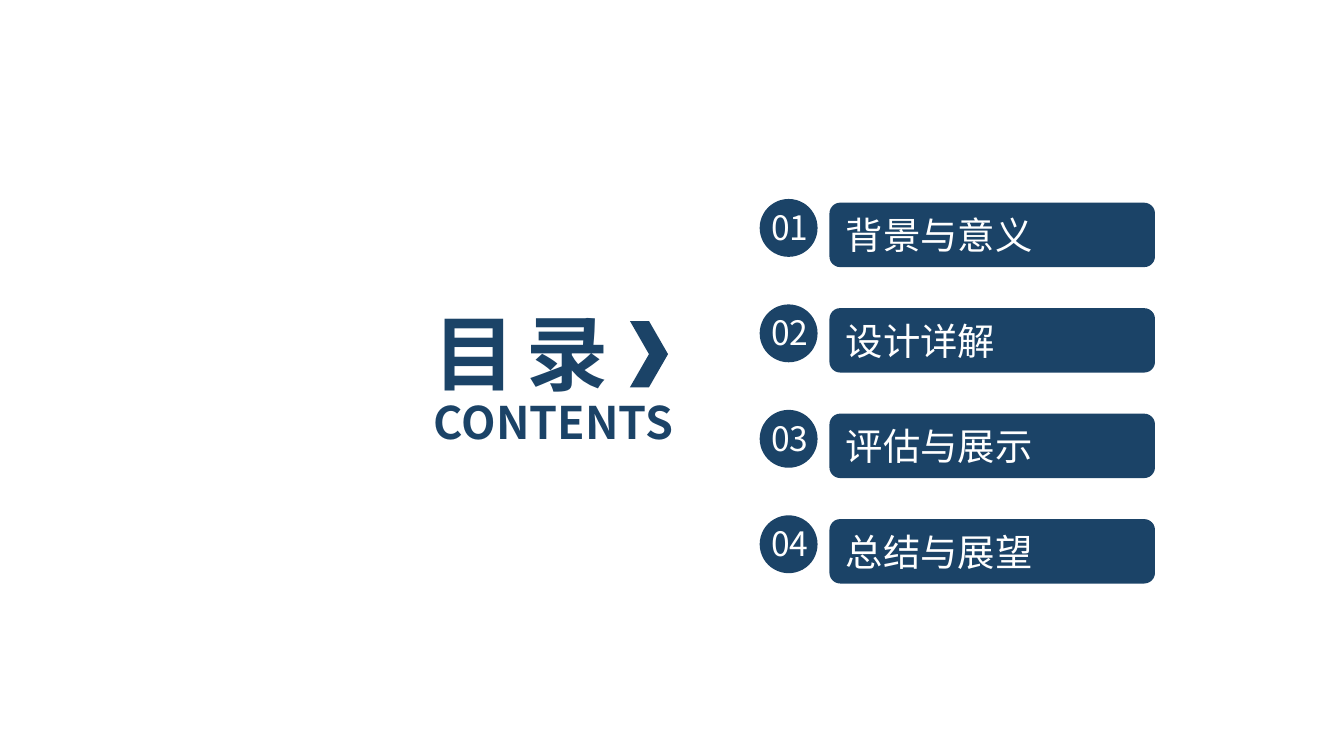
import pptx
import pptx.util
import pptx.dml.color
import pptx.enum.shapes
import pptx.enum.text
import lxml.etree
import pptx.oxml.ns

Pt = pptx.util.Pt
SHAPE = pptx.enum.shapes.MSO_SHAPE
ALIGN = pptx.enum.text.PP_ALIGN
NAVY = pptx.dml.color.RGBColor(0x1B, 0x43, 0x67)
WHITE = pptx.dml.color.RGBColor(0xFF, 0xFF, 0xFF)
FONT = "Noto Sans CJK SC"

TITLE = "目 录"
SUBTITLE = "CONTENTS"
CHAPTERS = ["背景与意义", "设计详解", "评估与展示", "总结与展望"]
FIRST_TOP = 106.6
PITCH = 56.5


def add_shape(kind, left, top, width, height):
    sp = s.shapes.add_shape(kind, Pt(left), Pt(top), Pt(width), Pt(height))
    sp.shadow.inherit = False
    sp.fill.solid()
    sp.fill.fore_color.rgb = NAVY
    sp.line.fill.background()
    return sp


def add_box(left, top, width, height):
    sp = s.shapes.add_textbox(Pt(left), Pt(top), Pt(width), Pt(height))
    return sp


def write(sp, text, size, color, bold=False, align=ALIGN.LEFT, spacing=0):
    tf = sp.text_frame
    tf.word_wrap = True
    tf.vertical_anchor = pptx.enum.text.MSO_ANCHOR.TOP
    p = tf.paragraphs[0]
    p.alignment = align
    p.font.size = Pt(size)
    p.font.name = FONT
    p.font.bold = bold
    p.font.color.rgb = color
    r = p.add_run()
    r.text = text
    rPr = r.font._element
    ea = lxml.etree.SubElement(rPr, pptx.oxml.ns.qn("a:ea"))
    ea.set("typeface", FONT)
    if spacing:
        rPr.set("spc", str(round(spacing * 100)))


prs = pptx.Presentation()
prs.slide_width = Pt(720)
prs.slide_height = Pt(405)
s = prs.slides.add_slide(prs.slide_layouts[6])

write(add_box(225.4, 158.4, 169, 60.5), TITLE, 44, NAVY, bold=True, spacing=-2.2)
write(add_box(225.4, 208, 166, 36), SUBTITLE, 24, NAVY, bold=True)
add_shape(SHAPE.CHEVRON, 337.5, 172, 20.4, 35.5)

for i, chapter in enumerate(CHAPTERS):
    top = FIRST_TOP + i * PITCH
    bar = add_shape(SHAPE.ROUNDED_RECTANGLE, 444.4, top + 2, 174.4, 34.5)
    write(bar, chapter, 20, WHITE)
    add_shape(SHAPE.OVAL, 407, top, 31, 31)
    number = add_box(404.5, top + 0.7, 37.4, 29)
    write(number, f"{i + 1:02d}", 18, WHITE, align=ALIGN.CENTER)

prs.save("out.pptx")
